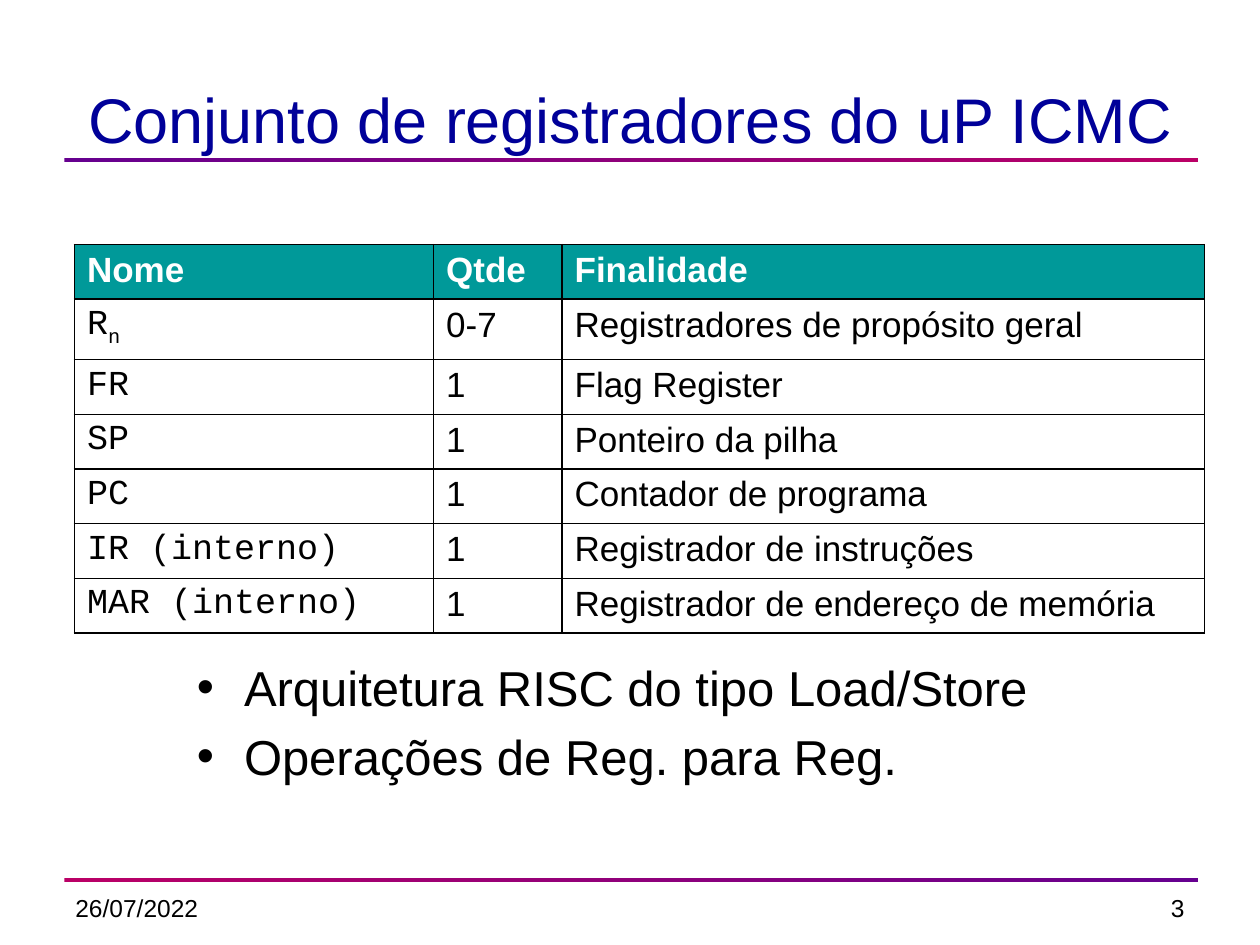
import pptx
import pptx.dml.color
import pptx.enum.shapes
import pptx.enum.text
import pptx.oxml
import pptx.oxml.ns
import pptx.util
import lxml.etree

Cm = pptx.util.Cm
Pt = pptx.util.Pt
ALIGN = pptx.enum.text.PP_ALIGN
ANCHOR = pptx.enum.text.MSO_ANCHOR
qn = pptx.oxml.ns.qn

COLORS = {
    "title": "000099",
    "text": "000000",
    "header_text": "FFFFFF",
    "header_fill": "009999",
    "violet": "66008F",
    "crimson": "BA0066",
}
TITLE = "Conjunto de registradores do uP ICMC"
DATE = "26/07/2022"
PAGE_NUMBER = "3"
HEADER = ("Nome", "Qtde", "Finalidade")
REGISTERS = [
    ("R", "0-7", "Registradores de propósito geral"),
    ("FR", "1", "Flag Register"),
    ("SP", "1", "Ponteiro da pilha"),
    ("PC", "1", "Contador de programa"),
    ("IR (interno)", "1", "Registrador de instruções"),
    ("MAR (interno)", "1", "Registrador de endereço de memória"),
]
SUBSCRIPTS = {"R": "n"}
BULLETS = ["Arquitetura RISC do tipo Load/Store", "Operações de Reg. para Reg."]
COLUMN_WIDTHS = (7.24, 2.59, 12.95)
ROW_HEIGHTS = [1.04, 1.18] + [1.08] * 5
RULES = [(3.18, "violet", "crimson"), (17.7, "crimson", "violet")]


def rgb(name):
    return pptx.dml.color.RGBColor.from_string(COLORS[name])


def style(para, size, color="text", font="Arial", bold=False):
    for span in para.runs:
        span.font.size = Pt(size)
        span.font.name = font
        span.font.bold = bold
        span.font.color.rgb = rgb(color)


def add_text(page, place, lines, size, color="text", align=ALIGN.LEFT, anchor=ANCHOR.TOP):
    box = page.shapes.add_textbox(*map(Cm, place))
    frame = box.text_frame
    frame.word_wrap = True
    frame.vertical_anchor = anchor
    frame.text = "\n".join(lines)
    for para in frame.paragraphs:
        para.alignment = align
        style(para, size, color)
    return frame


def add_rule(page, top, start, end):
    rule = page.shapes.add_shape(
        pptx.enum.shapes.MSO_SHAPE.RECTANGLE, Cm(1.3), Cm(top), Cm(22.86), Cm(0.08))
    rule.shadow.inherit = False
    rule.line.fill.background()
    rule.fill.gradient()
    rule.fill.gradient_angle = 0
    for stop, name in zip(rule.fill.gradient_stops, (start, end)):
        stop.color.rgb = rgb(name)


def add_bullet(para):
    para.space_before = Pt(5.6)
    properties = para._p.get_or_add_pPr()
    properties.set("marL", str(Cm(0.96)))
    properties.set("indent", str(-Cm(0.95)))
    lxml.etree.SubElement(properties, qn("a:buFont")).set("typeface", "Arial")
    lxml.etree.SubElement(properties, qn("a:buChar")).set("char", "•")


def add_borders(cell):
    properties = cell._tc.get_or_add_tcPr()
    for index, side in enumerate(("lnL", "lnR", "lnT", "lnB")):
        line = pptx.oxml.parse_xml(
            f'<a:{side} {pptx.oxml.ns.nsdecls("a")} w="{Pt(0.96)}"><a:solidFill>'
            f'<a:srgbClr val="{COLORS["text"]}"/></a:solidFill></a:{side}>')
        properties.insert(index, line)


def fill_cell(cell, text, is_header, is_name):
    para = cell.text_frame.paragraphs[0]
    para.text = text
    if is_header:
        cell.fill.solid()
        cell.fill.fore_color.rgb = rgb("header_fill")
        style(para, 20, "header_text", bold=True)
    else:
        cell.fill.background()
        if text in SUBSCRIPTS:
            span = para.add_run()
            span.text = SUBSCRIPTS[text]
            span._r.get_or_add_rPr().set("baseline", "-25000")
        style(para, 20, font="Courier New" if is_name else "Arial")
    add_borders(cell)


def add_register_table(page):
    rows = [HEADER] + REGISTERS
    table = page.shapes.add_table(
        len(rows), len(HEADER), Cm(1.5), Cm(4.93),
        Cm(sum(COLUMN_WIDTHS)), Cm(sum(ROW_HEIGHTS))).table
    table.horz_banding = False
    for column, width in zip(table.columns, COLUMN_WIDTHS):
        column.width = Cm(width)
    for row_index, (values, height) in enumerate(zip(rows, ROW_HEIGHTS)):
        table.rows[row_index].height = Cm(height)
        for column_index, text in enumerate(values):
            fill_cell(table.cell(row_index, column_index), text,
                      row_index == 0, column_index == 0)


def main():
    deck = pptx.Presentation()
    deck.slide_width, deck.slide_height = Cm(25.4), Cm(19.05)
    page = deck.slides.add_slide(deck.slide_layouts[6])
    for rule in RULES:
        add_rule(page, *rule)
    add_text(page, (1.27, 17.88, 5.92, 1.32), [DATE], 14)
    add_text(page, (18.21, 17.88, 5.92, 1.32), [PAGE_NUMBER], 14, align=ALIGN.RIGHT)
    add_text(page, (1.3, 1.27, 22.81, 2.01), [TITLE], 36, "title",
             ALIGN.CENTER, ANCHOR.BOTTOM)
    add_register_table(page)
    body = add_text(page, (3.71, 13.13, 17.78, 4.14), BULLETS, 28)
    for para in body.paragraphs:
        add_bullet(para)
    deck.save("out.pptx")


if __name__ == "__main__":
    main()
